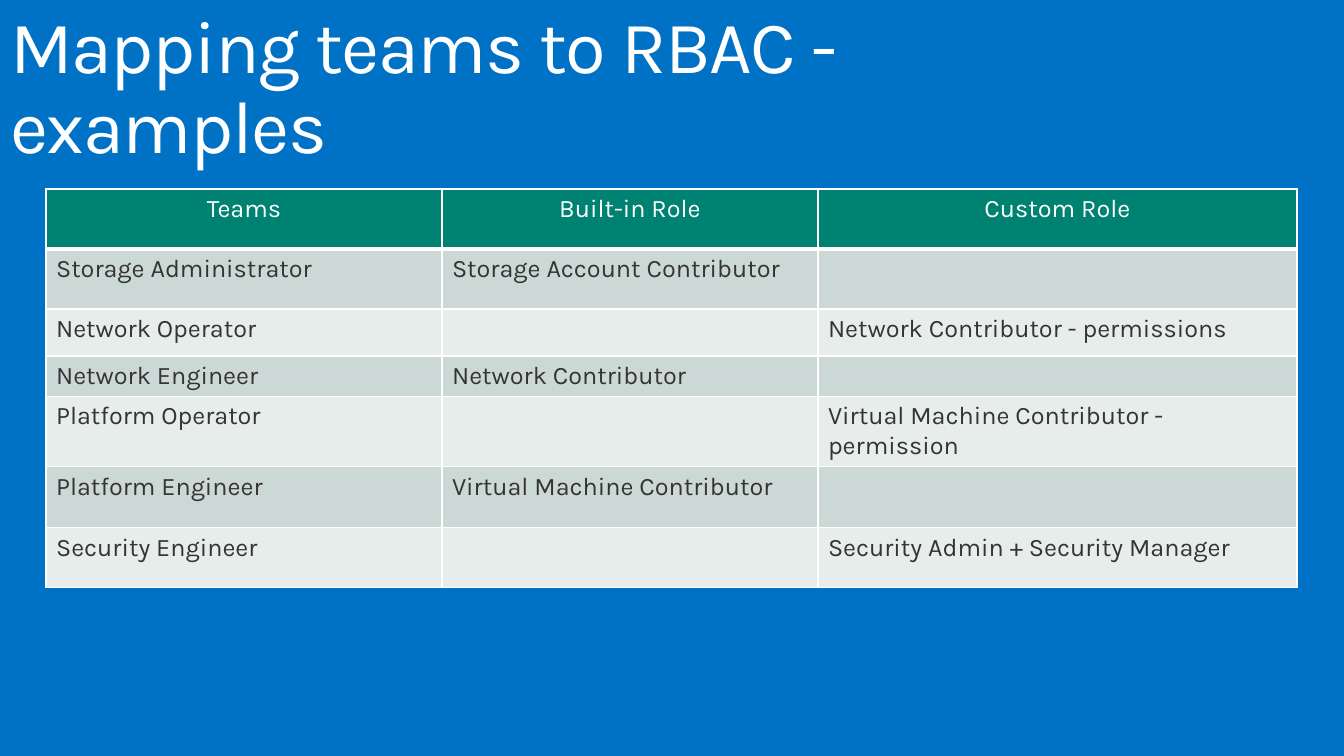
from dataclasses import dataclass

from lxml import etree
from pptx import Presentation
from pptx.dml.color import RGBColor
from pptx.enum.text import MSO_ANCHOR, PP_ALIGN
from pptx.oxml.ns import qn
from pptx.util import Emu, Pt

TOP = MSO_ANCHOR.TOP
LEFT, CENTER = PP_ALIGN.LEFT, PP_ALIGN.CENTER
PIXEL = 914400 / 100.8
BLANK_LAYOUT = 6


@dataclass(frozen=True)
class Theme:
    """Colours and type sizes of the slide."""
    font: str = "Karla"
    background: str = "0072C6"
    white: str = "FFFFFF"
    text: str = "343434"
    header: str = "008272"
    bands: tuple = ("CCD8D5", "E7EDEB")
    title_size: float = 52.9
    table_size: float = 18
    title_tracking: int = -100
    border: float = 1
    header_border: float = 3


THEME = Theme()
TITLE = "Mapping teams to RBAC - examples"
TITLE_BOX = (0, 0, 1116, 101)
TABLE_BOX = (46, 189, 1251, 377)
COLUMN_WIDTHS = (396, 376, 479)
ROW_HEIGHTS = (60, 60, 47, 40, 49, 61, 60)
ROLES = (
    ("Teams", "Built-in Role", "Custom Role"),
    ("Storage Administrator", "Storage Account Contributor", ""),
    ("Network Operator", "", "Network Contributor - permissions"),
    ("Network Engineer", "Network Contributor", ""),
    ("Platform Operator", "", "Virtual Machine Contributor - permission"),
    ("Platform Engineer", "Virtual Machine Contributor", ""),
    ("Security Engineer", "", "Security Admin + Security Manager"),
)


def px(length):
    """Turn pixels into EMU."""
    return Emu(round(length * PIXEL))


def set_attributes(target, values):
    """Set every attribute in a dict of format values."""
    for name, value in values.items():
        setattr(target, name, value)


def write(paragraph, text, size, color, **paragraph_format):
    """Write one formatted run and return it."""
    set_attributes(paragraph, paragraph_format)
    run = paragraph.add_run()
    run.text = text
    set_attributes(run.font, {"name": THEME.font, "size": Pt(size), "bold": False})
    run.font.color.rgb = RGBColor.from_string(color)
    return run


def set_borders(cell, widths):
    """Draw white cell borders, given a width in points for each side."""
    properties = cell._tc.get_or_add_tcPr()
    for position, (side, width) in enumerate(widths.items()):
        line = etree.Element(qn(f"a:ln{side}"), w=str(Pt(width)))
        fill = etree.SubElement(line, qn("a:solidFill"))
        etree.SubElement(fill, qn("a:srgbClr"), val=THEME.white)
        properties.insert(position, line)


def add_title(slide, box):
    """Place the slide title in its box."""
    frame = slide.shapes.add_textbox(*map(px, box)).text_frame
    set_attributes(frame, {
        "word_wrap": True, "vertical_anchor": TOP,
        "margin_left": px(10), "margin_right": px(10),
        "margin_top": px(10), "margin_bottom": px(10),
    })
    run = write(frame.paragraphs[0], TITLE, THEME.title_size, THEME.white,
                alignment=LEFT, line_spacing=0.9)
    run.font._element.set("spc", str(THEME.title_tracking))


def add_role_table(slide, box):
    """Place the table of teams and roles in its box."""
    table = slide.shapes.add_table(len(ROLES), len(COLUMN_WIDTHS), *map(px, box)).table
    for column, width in zip(table.columns, COLUMN_WIDTHS):
        column.width = px(width)
    for index, (row, height, texts) in enumerate(zip(table.rows, ROW_HEIGHTS, ROLES)):
        row.height = px(height)
        is_header = index == 0
        fill = THEME.header if is_header else THEME.bands[(index - 1) % 2]
        color = THEME.white if is_header else THEME.text
        borders = dict.fromkeys("LRTB", THEME.border)
        if is_header:
            borders["B"] = THEME.header_border
        for cell, text in zip(row.cells, texts):
            cell.fill.solid()
            cell.fill.fore_color.rgb = RGBColor.from_string(fill)
            set_borders(cell, borders)
            write(cell.text_frame.paragraphs[0], text, THEME.table_size, color,
                  alignment=CENTER if is_header else LEFT)


def build():
    """Build the slide and save the presentation."""
    presentation = Presentation()
    set_attributes(presentation, {"slide_width": px(1344), "slide_height": px(756)})
    slide = presentation.slides.add_slide(presentation.slide_layouts[BLANK_LAYOUT])
    slide.background.fill.solid()
    slide.background.fill.fore_color.rgb = RGBColor.from_string(THEME.background)
    add_title(slide, TITLE_BOX)
    add_role_table(slide, TABLE_BOX)
    presentation.save("out.pptx")


build()
